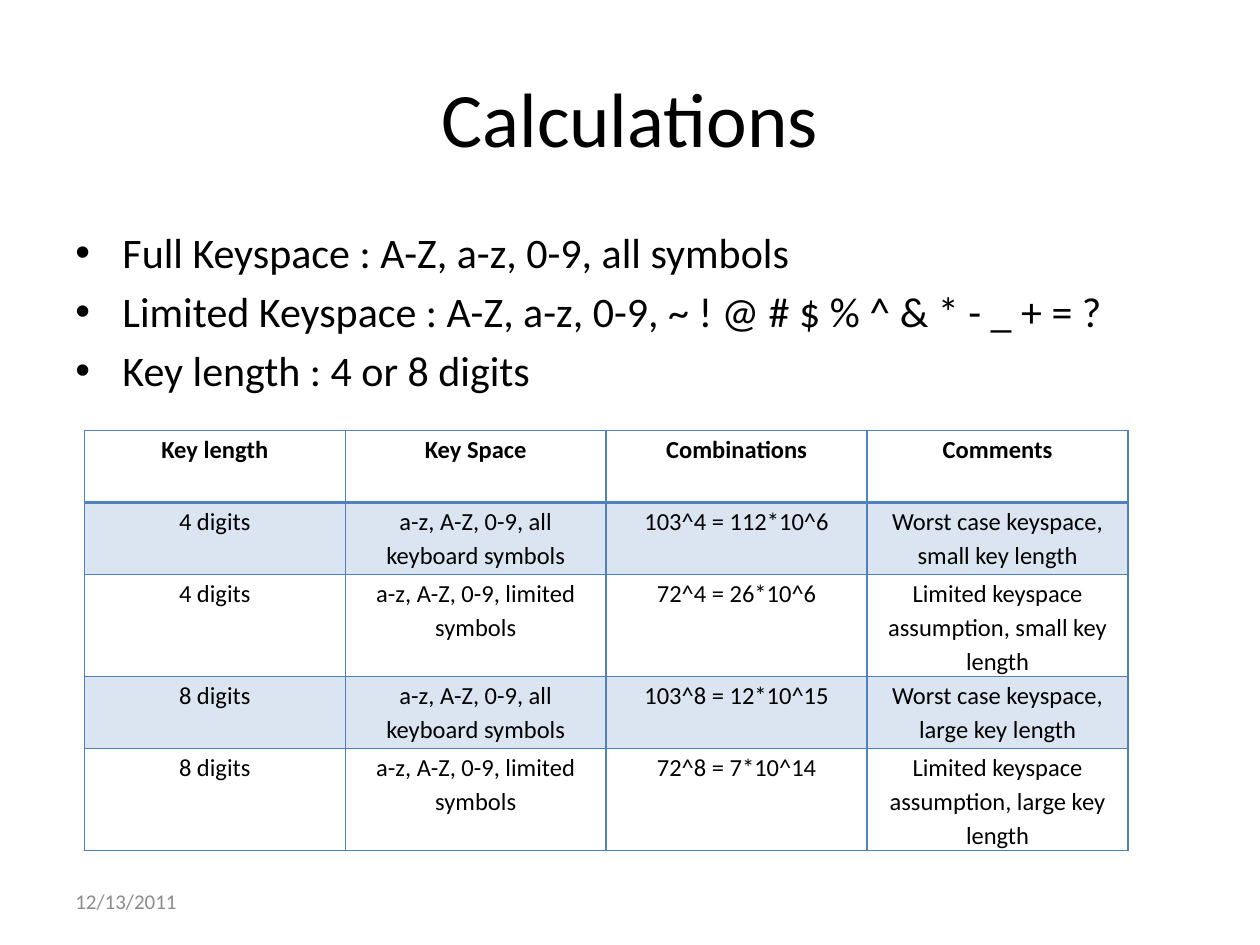
import lxml.etree
import pptx
import pptx.dml.color
import pptx.enum.text
import pptx.oxml.ns
import pptx.util

Cm = pptx.util.Cm
Pt = pptx.util.Pt
ALIGN = pptx.enum.text.PP_ALIGN
ANCHOR = pptx.enum.text.MSO_ANCHOR
qn = pptx.oxml.ns.qn

COLOURS = {"text": "000000", "date": "8C8C8C", "accent": "4F81BD"}

BULLETS = [
    "Full Keyspace : A-Z, a-z, 0-9, all symbols",
    "Limited Keyspace : A-Z, a-z, 0-9, ~ ! @ # $ % ^ & * - _ + = ?",
    "Key length : 4 or 8 digits",
]

FULL_SPACE = "a-z, A-Z, 0-9, all keyboard symbols"
LIMITED_SPACE = "a-z, A-Z, 0-9, limited symbols"
ROWS = [
    ("Key length", "Key Space", "Combinations", "Comments"),
    ("4 digits", FULL_SPACE, "103^4 = 112*10^6", "Worst case keyspace, small key length"),
    ("4 digits", LIMITED_SPACE, "72^4 = 26*10^6", "Limited keyspace assumption, small key length"),
    ("8 digits", FULL_SPACE, "103^8 = 12*10^15", "Worst case keyspace, large key length"),
    ("8 digits", LIMITED_SPACE, "72^8 = 7*10^14", "Limited keyspace assumption, large key length"),
]
ROW_HEIGHTS = [1.45, 1.45, 2.06, 1.45, 2.06]


class SlideBuilder:
    font_name = "Calibri"

    def __init__(self, slide):
        self.slide = slide

    def style(self, paragraph, size, colour="text", bold=False):
        font = paragraph.font
        font.name = self.font_name
        font.size = Pt(size)
        font.bold = bold
        font.color.rgb = pptx.dml.color.RGBColor.from_string(COLOURS[colour])

    def text(self, lines, left, top, width, height, size, colour="text",
             align=ALIGN.LEFT, anchor=ANCHOR.MIDDLE, bulleted=False):
        shape = self.slide.shapes.add_textbox(Cm(left), Cm(top), Cm(width), Cm(height))
        frame = shape.text_frame
        frame.word_wrap = True
        frame.vertical_anchor = anchor
        for index, line in enumerate(lines):
            paragraph = frame.add_paragraph() if index else frame.paragraphs[0]
            paragraph.text = line
            paragraph.alignment = align
            if index:
                paragraph.space_before = Pt(size * 0.2)
            if bulleted:
                self.bullet(paragraph)
            self.style(paragraph, size, colour)

    def bullet(self, paragraph):
        properties = paragraph._p.get_or_add_pPr()
        properties.set("marL", str(Cm(0.95)))
        properties.set("indent", str(-Cm(0.95)))
        lxml.etree.SubElement(properties, qn("a:buFont"), typeface="Arial")
        lxml.etree.SubElement(properties, qn("a:buChar"), char="•")

    def borders(self, cell, widths):
        properties = cell._tc.get_or_add_tcPr()
        for index, (side, width) in enumerate(widths.items()):
            line = lxml.etree.Element(qn(f"a:ln{side}"), w=str(Pt(width)))
            fill = lxml.etree.SubElement(line, qn("a:solidFill"))
            lxml.etree.SubElement(fill, qn("a:srgbClr"), val=COLOURS["accent"])
            properties.insert(index, line)

    def tint(self, cell, percent):
        cell.fill.solid()
        cell.fill.fore_color.rgb = pptx.dml.color.RGBColor.from_string(COLOURS["accent"])
        colour = cell._tc.tcPr.find(f".//{qn('a:srgbClr')}")
        lxml.etree.SubElement(colour, qn("a:alpha"), val=str(percent * 1000))

    def table(self, rows, row_heights, left, top, width, size):
        frame = self.slide.shapes.add_table(
            len(rows), len(rows[0]), Cm(left), Cm(top), Cm(width), Cm(sum(row_heights)))
        table = frame.table
        table.first_row = False
        table.horz_banding = False
        for column in table.columns:
            column.width = Cm(width / len(rows[0]))
        for row_index, (values, height) in enumerate(zip(rows, row_heights)):
            table.rows[row_index].height = Cm(height)
            for column_index, value in enumerate(values):
                cell = table.cell(row_index, column_index)
                cell.margin_left = cell.margin_right = Cm(0.25)
                cell.margin_top = cell.margin_bottom = 0
                paragraph = cell.text_frame.paragraphs[0]
                paragraph.text = value
                paragraph.alignment = ALIGN.CENTER
                paragraph.line_spacing = 1.15
                self.style(paragraph, size, bold=row_index == 0)
                # Odd rows are tinted; a thicker rule sits under the header
                if row_index % 2:
                    self.tint(cell, 20)
                else:
                    cell.fill.background()
                self.borders(cell, {"L": 1, "R": 1,
                                    "T": 2 if row_index == 1 else 1,
                                    "B": 2 if row_index == 0 else 1})


def main():
    presentation = pptx.Presentation()
    presentation.slide_width = Cm(25.4)
    presentation.slide_height = Cm(19.05)
    builder = SlideBuilder(presentation.slides.add_slide(presentation.slide_layouts[6]))

    # Title
    builder.text(["Calculations"], 1.27, 0.76, 22.86, 3.18, 44, align=ALIGN.CENTER)
    # Assumptions
    builder.text(BULLETS, 1.27, 4.45, 22.86, 12.57, 24, anchor=ANCHOR.TOP, bulleted=True)
    # Date
    builder.text(["12/13/2011"], 1.27, 17.65, 5.92, 1.02, 12, colour="date")
    # Combinations by key length and key space
    builder.table(ROWS, ROW_HEIGHTS, 1.7, 8.68, 21.04, 14)

    presentation.save("out.pptx")


if __name__ == "__main__":
    main()
